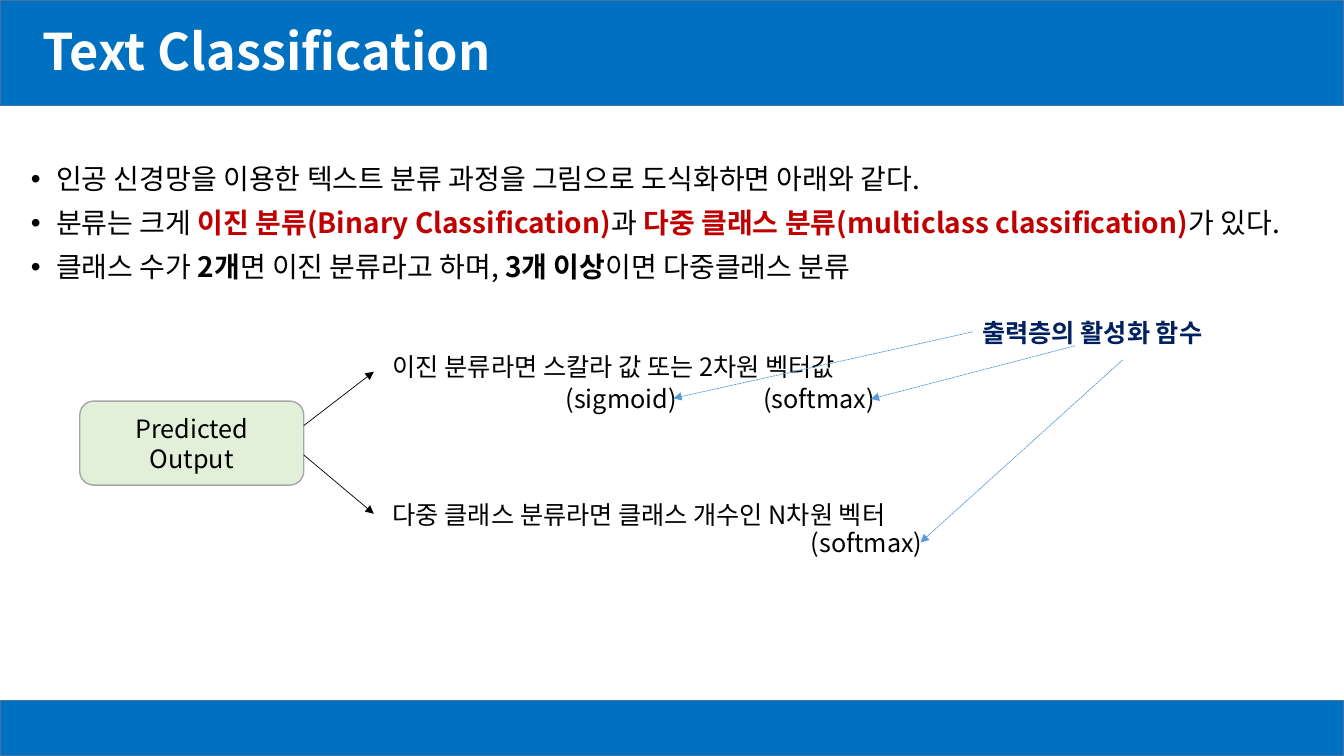
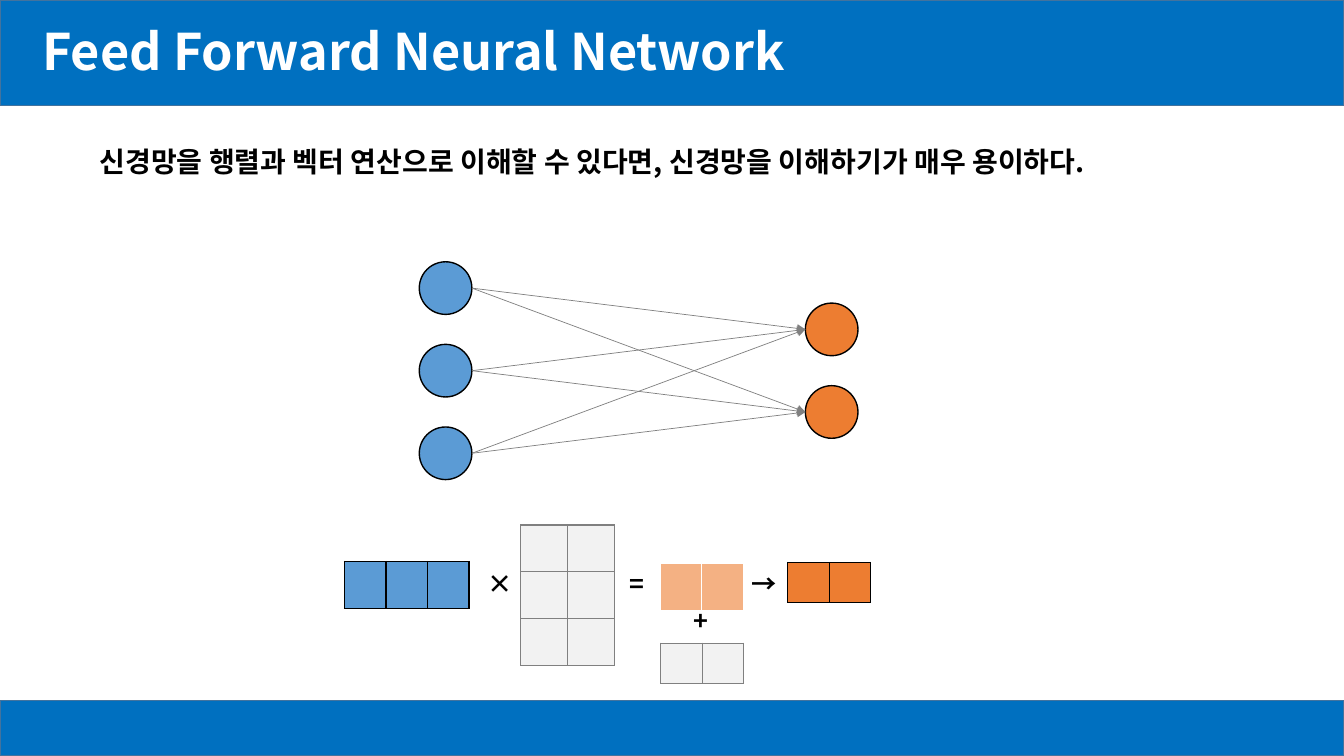
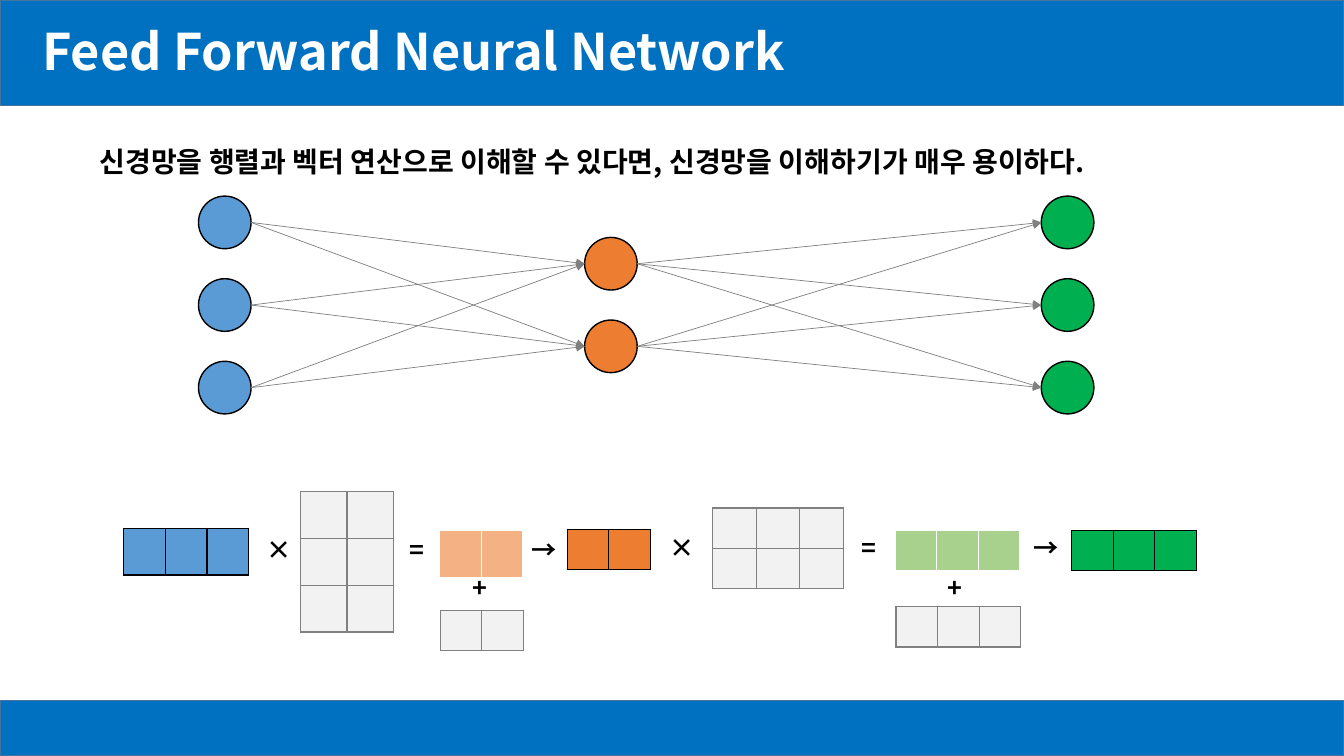
from lxml import etree
from pptx import Presentation
from pptx.dml.color import RGBColor
from pptx.enum import dml, shapes, text
from pptx.oxml.ns import qn
from pptx.util import Pt

FONT = "Noto Sans CJK KR"
BLACK = RGBColor(0, 0, 0)
WHITE = RGBColor(255, 255, 255)
BAND = RGBColor(0x00, 0x70, 0xC0)
EDGE = RGBColor(0x43, 0x73, 0x9E)
RED = RGBColor(0xC0, 0x00, 0x00)
NAVY = RGBColor(0x00, 0x20, 0x60)
BLUE = RGBColor(0x5B, 0x9B, 0xD5)
ORANGE = RGBColor(0xED, 0x7D, 0x31)
PEACH = RGBColor(0xF4, 0xB1, 0x83)
GREEN = RGBColor(0x00, 0xB0, 0x50)
LIME = RGBColor(0xA9, 0xD1, 0x8E)
MINT = RGBColor(0xE2, 0xF0, 0xD9)
PALE = RGBColor(0xF2, 0xF2, 0xF2)
GRAY = RGBColor(0x80, 0x80, 0x80)
SILVER = RGBColor(0xA6, 0xA6, 0xA6)


def write(par, runs, size=18, lead=22):
    """Add (words, colour, bold) runs to a paragraph."""
    par.line_spacing = Pt(lead)
    for words, color, bold in runs:
        run = par.add_run()
        run.text = words
        run.font.name, run.font.size, run.font.bold = FONT, Pt(size), bold
        run.font.color.rgb = color
        etree.SubElement(run.font._element, qn("a:ea"), typeface=FONT)


def arrow(slide, start, end, color, dash=None):
    """Draw a thin line with a triangle at its end."""
    wire = slide.shapes.add_connector(
        shapes.MSO_CONNECTOR.STRAIGHT, *[Pt(v) for v in (*start, *end)])
    wire.line.width = Pt(0.5)
    wire.line.color.rgb = color
    if dash:
        wire.line.dash_style = dash
    props = wire.element.spPr
    etree.SubElement(props.find(qn("a:ln")), qn("a:tailEnd"), type="triangle")
    etree.SubElement(props, qn("a:effectLst"))


deck = Presentation()
deck.slide_width, deck.slide_height = Pt(960), Pt(540)
layout = deck.slide_layouts[5]
for holder in list(layout.placeholders)[1:]:
    holder.element.getparent().remove(holder.element)

# Titles and body texts
claim = [[("신경망을 행렬과 벡터 연산으로 이해할 수 있다면, "
           "신경망을 이해하기가 매우 용이하다.", BLACK, True)]]
points = [
    [("인공 신경망을 이용한 텍스트 분류 과정을 그림으로 도식화하면 아래와 같다.", BLACK, False)],
    [("분류는 크게 ", BLACK, False),
     ("이진 분류(Binary Classification)", RED, True),
     ("과 ", BLACK, False),
     ("다중 클래스 분류(multiclass classification)", RED, True),
     ("가 있다.", BLACK, False)],
    [("클래스 수가 ", BLACK, False), ("2개", BLACK, True),
     ("면 이진 분류라고 하며,\u00a0", BLACK, False), ("3개 이상", BLACK, True),
     ("이면 다중클래스 분류", BLACK, False)],
]
pages = [
    ("Text Classification", points, (15, 114.5, 945, 151), True),
    ("Feed Forward Neural Network", claim, (64, 102.2, 877, 145), False),
    ("Feed Forward Neural Network", claim, (64, 102.2, 877, 145), False),
]
slides = []
for head, lines, area, listed in pages:
    slide = deck.slides.add_slide(layout)
    slides.append(slide)
    title = slide.shapes.title
    title.left, title.top, title.width, title.height = Pt(23), Pt(9.5), Pt(828), Pt(57.6)
    frame = title.text_frame
    frame.auto_size = text.MSO_AUTO_SIZE.NONE
    frame.vertical_anchor = text.MSO_ANCHOR.MIDDLE
    frame.paragraphs[0].alignment = text.PP_ALIGN.LEFT
    write(frame.paragraphs[0], [(head, WHITE, True)], 36, 39)

    body = slide.shapes.add_textbox(*[Pt(v) for v in area]).text_frame
    body.word_wrap = True
    for i, line in enumerate(lines):
        par = body.add_paragraph() if i else body.paragraphs[0]
        write(par, line, 20, 21.5)
        par.space_before = Pt(10)
        if listed:
            props = par._p.get_or_add_pPr()
            props.set("marL", str(Pt(18)))
            props.set("indent", str(Pt(-18)))
            etree.SubElement(props, qn("a:buFont"), typeface="Arial")
            etree.SubElement(props, qn("a:buChar"), char="•")

# Shared bands, kept in the layout behind the title
for top, high in [(0, 75.6), (500.4, 39.6)]:
    band = slides[0].shapes.add_shape(
        shapes.MSO_SHAPE.RECTANGLE, Pt(0), Pt(top), Pt(960), Pt(high))
    band.shadow.inherit = False
    band.fill.solid()
    band.fill.fore_color.rgb = BAND
    band.line.color.rgb = EDGE
    band.line.width = Pt(1)
    layout.shapes.element.insert(2, band.element)

# Slide 1: predicted output and its two cases
first = slides[0]
box = first.shapes.add_shape(
    shapes.MSO_SHAPE.ROUNDED_RECTANGLE, Pt(57), Pt(286.5), Pt(160), Pt(60))
box.shadow.inherit = False
box.fill.solid()
box.fill.fore_color.rgb = MINT
box.line.color.rgb = SILVER
box.line.width = Pt(1)
box.text_frame.word_wrap = True
box.text_frame.vertical_anchor = text.MSO_ANCHOR.MIDDLE
box.text_frame.paragraphs[0].alignment = text.PP_ALIGN.CENTER
write(box.text_frame.paragraphs[0], [("Predicted Output", BLACK, False)])

labels = [
    ("이진 분류라면 스칼라 값 또는 2차원 벡터값", 273.5, 247, 428, BLACK, False),
    ("다중 클래스 분류라면 클래스 개수인 N차원 벡터", 273.5, 352.5, 428, BLACK, False),
    ("(sigmoid)", 397, 270, 287, BLACK, False),
    ("(softmax)", 538, 270, 287, BLACK, False),
    ("(softmax)", 572, 373, 287, BLACK, False),
    ("출력층의 활성화 함수", 694.5, 222.5, 237, NAVY, True),
]
for words, x, y, wide, color, bold in labels:
    label = first.shapes.add_textbox(Pt(x), Pt(y), Pt(wide), Pt(29)).text_frame
    label.word_wrap = True
    write(label.paragraphs[0], [(words, color, bold)])

for start, end in [((217, 304), (267, 265.5)), ((217, 325), (267, 367))]:
    arrow(first, start, end, BLACK)
for start, end in [((695, 237), (481, 284.5)), ((768, 247), (622, 285)),
                   ((802, 257), (657.5, 387.5))]:
    arrow(first, start, end, BLUE, dml.MSO_LINE.SQUARE_DOT)

# Matrix parts, measured from the input vector's corner:
# x, y, rows, columns, cell width, cell height, fill, border
CELL, LOW, TALL = 29.7, 28.8, 33.4
hidden = [
    (0, 0, 1, 3, CELL, TALL, BLUE, BLACK),
    (126, -26, 3, 2, TALL, TALL, PALE, GRAY),
    (225.5, 1.7, 1, 2, CELL, TALL, PEACH, WHITE),
    (316.6, 0.7, 1, 2, CELL, LOW, ORANGE, BLACK),
    (226, 58.5, 1, 2, CELL, LOW, PALE, GRAY),
]
output = [
    (420.5, -14.4, 2, 3, 31.2, LOW, PALE, GRAY),
    (551, 1.4, 1, 3, CELL, LOW, LIME, WHITE),
    (677, 1.4, 1, 3, CELL, LOW, GREEN, BLACK),
    (551.5, 56, 1, 3, CELL, LOW, PALE, GRAY),
]
signs = [("×", 95, 0.7), ("=", 196.6, 0.7), ("→", 283.8, 0.7), ("+", 242, 27.4)]
more = [("×", 383, -0.7), ("=", 520, -0.7), ("→", 643, -0.7), ("+", 581, 27.4)]

# Slides 2 and 3: layers (left, count, fill), middle height, formula
NODE, STEP = 37.6, 59
nets = [
    (slides[1], [(299.5, 3, BLUE), (575.3, 2, ORANGE)], 264.8,
     (246, 401), hidden, signs),
    (slides[2], [(141.8, 3, BLUE), (417.6, 2, ORANGE), (743.8, 3, GREEN)], 217.9,
     (88.5, 377.3), hidden + output, signs + more),
]
for slide, layers, mid, (left, top), grids, marks in nets:
    # Nodes, with arrows from every node of the layer before
    before = []
    for x, count, fill in layers:
        rows = [mid + (i - (count - 1) / 2) * STEP for i in range(count)]
        for y in rows:
            node = slide.shapes.add_shape(
                shapes.MSO_SHAPE.OVAL, Pt(x), Pt(y - NODE / 2), Pt(NODE), Pt(NODE))
            node.shadow.inherit = False
            node.fill.solid()
            node.fill.fore_color.rgb = fill
            node.line.color.rgb = BLACK
            node.line.width = Pt(1)
            for start in before:
                arrow(slide, start, (x, y), GRAY)
        before = [(x + NODE, y) for y in rows]

    # Vectors and matrices
    for x, y, rows, cols, wide, high, fill, edge in grids:
        table = slide.shapes.add_table(
            rows, cols, Pt(left + x), Pt(top + y), Pt(cols * wide), Pt(rows * high)).table
        table.first_row = table.horz_banding = False
        for col in table.columns:
            col.width = Pt(wide)
        for row in table.rows:
            row.height = Pt(high)
        for cell in table.iter_cells():
            cell.margin_top = cell.margin_bottom = Pt(0)
            cell.fill.solid()
            cell.fill.fore_color.rgb = fill
            props = cell._tc.get_or_add_tcPr()
            for i, side in enumerate(["a:lnL", "a:lnR", "a:lnT", "a:lnB"]):
                rule = etree.Element(qn(side), w=str(Pt(1)))
                paint = etree.SubElement(rule, qn("a:solidFill"))
                etree.SubElement(paint, qn("a:srgbClr"), val=str(edge))
                props.insert(i, rule)

    # Signs between them
    for sign, x, y in marks:
        mark = slide.shapes.add_textbox(Pt(left + x), Pt(top + y), Pt(62.6), Pt(29))
        mark.text_frame.word_wrap = True
        write(mark.text_frame.paragraphs[0], [(sign, BLACK, True)])

deck.save("out.pptx")
